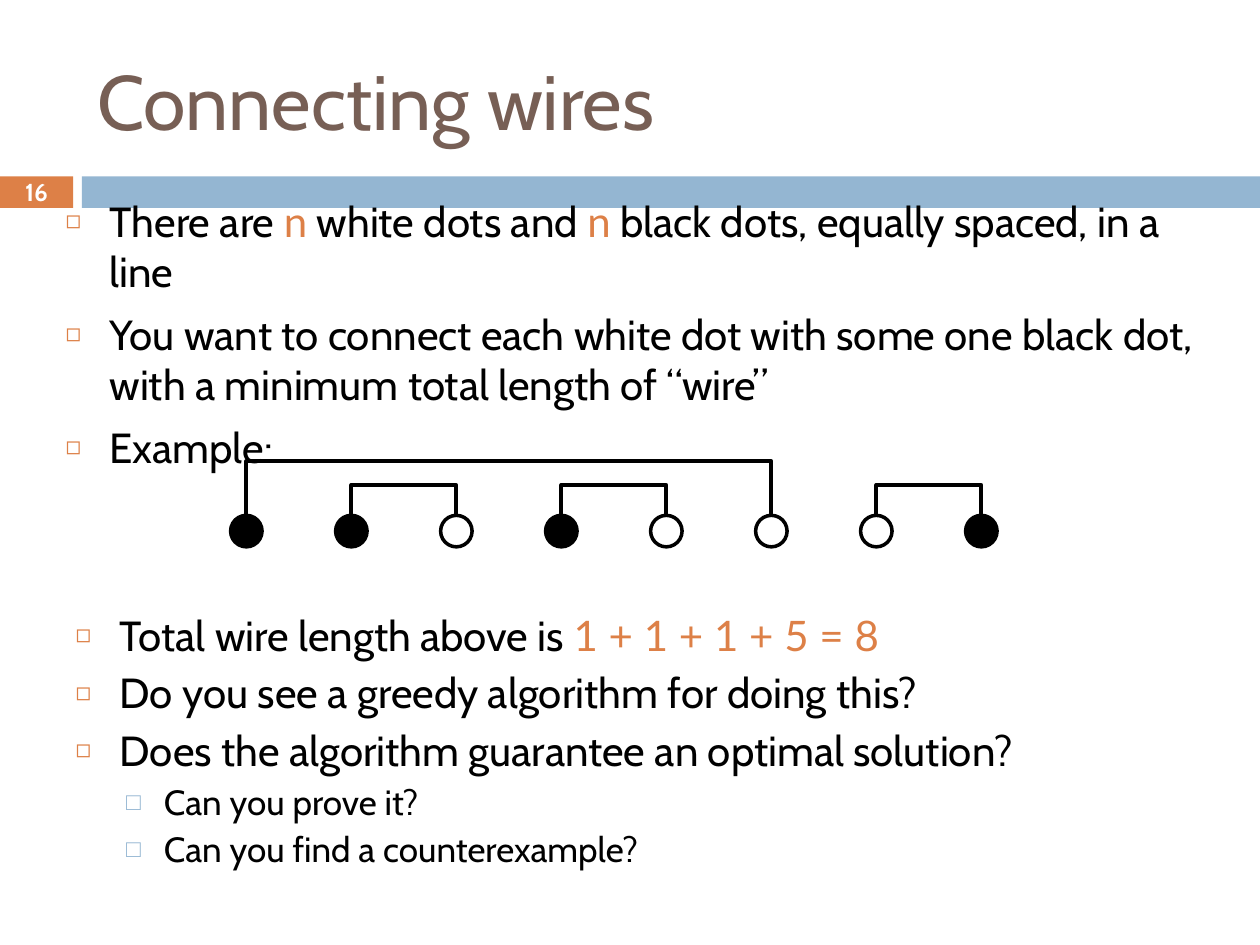
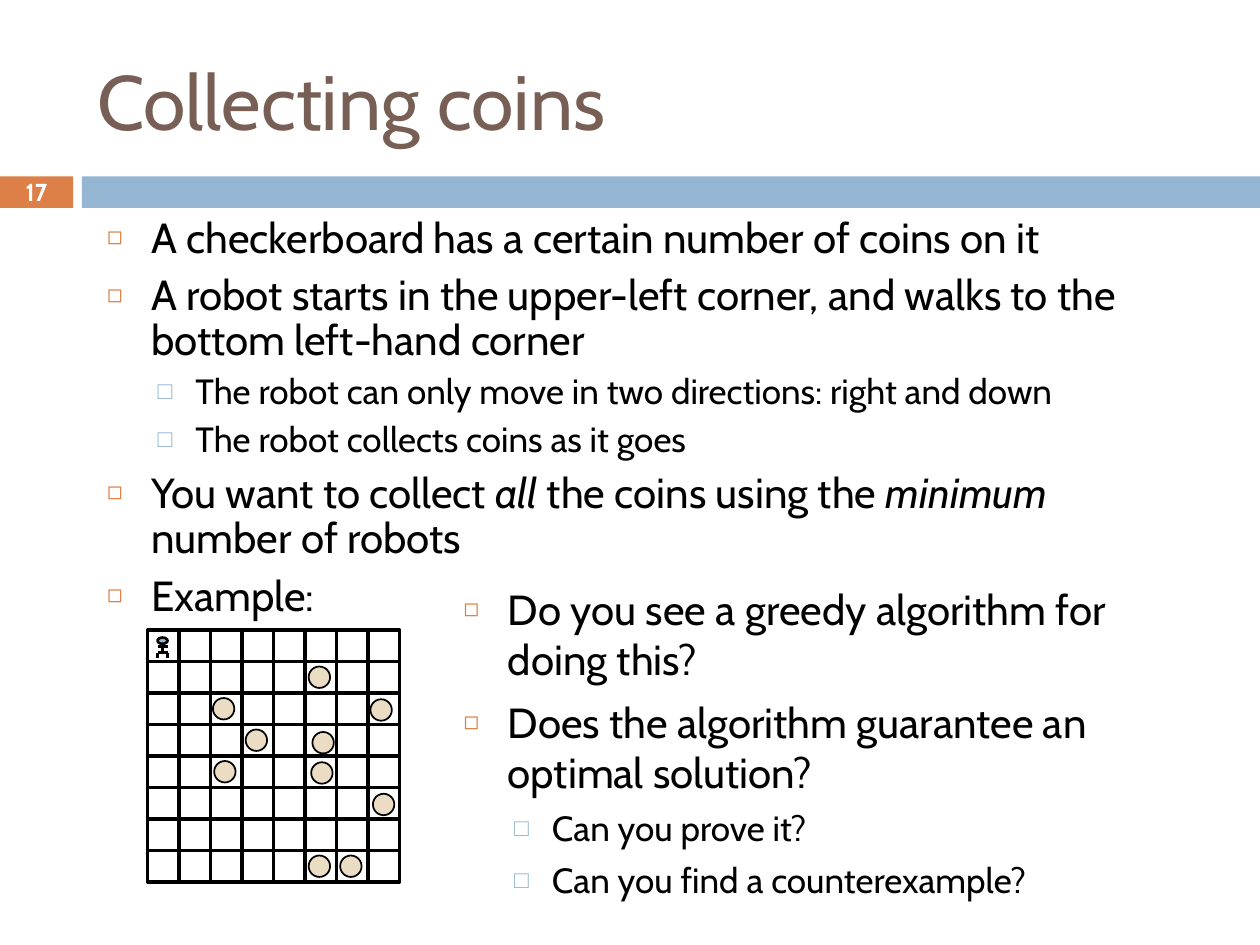
"""Build two slides on greedy algorithms: connecting wires and collecting coins."""
from itertools import product

from lxml import etree
from pptx import Presentation
from pptx.dml.color import RGBColor
from pptx.enum.shapes import MSO_CONNECTOR, MSO_SHAPE
from pptx.enum.text import MSO_ANCHOR, MSO_AUTO_SIZE, PP_ALIGN
from pptx.oxml.ns import qn
from pptx.util import Inches, Pt

RECTANGLE = MSO_SHAPE.RECTANGLE
OVAL = MSO_SHAPE.OVAL
STRAIGHT = MSO_CONNECTOR.STRAIGHT
MIDDLE = MSO_ANCHOR.MIDDLE
NO_AUTOFIT = MSO_AUTO_SIZE.NONE
LEFT = PP_ALIGN.LEFT
CENTER = PP_ALIGN.CENTER

BLACK = RGBColor(0x00, 0x00, 0x00)
WHITE = RGBColor(0xFF, 0xFF, 0xFF)
BROWN = RGBColor(0x77, 0x5F, 0x55)
ORANGE = RGBColor(0xDD, 0x80, 0x47)
BLUE = RGBColor(0x94, 0xB6, 0xD2)
SAND = RGBColor(0xEB, 0xDD, 0xC3)

TEXT_FONT = "Cabin"
MATH_FONT = "Lato"
TWO_CONTENT = 3
MATH, ITALIC = "math", "italic"

# level: size, space before, left indent, hanging indent, bullet, colour, percent
LEVELS = [
    (24, 7, 0.35, 0.35, "\u25fb", ORANGE, 60),
    (20, 5.5, 0.7, 0.3, "\u25a1", BLUE, 70),
]


class Deck:
    """Holds the presentation, its style and the current slide."""

    def __init__(self):
        self.prs = Presentation()
        self.prs.slide_width = Inches(10)
        self.prs.slide_height = Inches(7.5)
        self.slide = None

    def place(self, shape, left, top, width, height):
        shape.left, shape.top = Inches(left), Inches(top)
        shape.width, shape.height = Inches(width), Inches(height)

    def style(self, run, size, color, font=TEXT_FONT, bold=None, italic=None):
        run.font.size = Pt(size)
        run.font.name = font
        run.font.color.rgb = color
        run.font.bold = bold
        run.font.italic = italic

    def new_slide(self, title, number):
        layout = self.prs.slide_layouts[TWO_CONTENT]
        self.slide = self.prs.slides.add_slide(layout)
        for left, width, color in ((0, 0.58, ORANGE), (0.65, 9.35, BLUE)):
            band = self.shape(RECTANGLE, left, 1.4, width, 0.25, fill=color)
            self.slide.shapes.element.insert(2, band.element)
        self.page_number(number)
        heading = self.slide.shapes.title
        self.place(heading, 0.67, 0.25, 8.92, 1.08)
        frame = heading.text_frame
        frame.text = title
        frame.auto_size = NO_AUTOFIT
        frame.vertical_anchor = MIDDLE
        frame.paragraphs[0].alignment = LEFT
        self.style(frame.paragraphs[0].runs[0], 44, BROWN)

    def page_number(self, number):
        box = self.slide.shapes.add_textbox(
            Inches(0), Inches(1.39), Inches(0.58), Inches(0.27))
        frame = box.text_frame
        frame.word_wrap = True
        frame.margin_top = frame.margin_bottom = 0
        frame.vertical_anchor = MIDDLE
        frame.text = str(number)
        frame.paragraphs[0].alignment = CENTER
        self.style(frame.paragraphs[0].runs[0], 14, WHITE, bold=True)

    def bullets(self, index, box, items, spacing=1.0):
        body = self.slide.placeholders[index]
        self.place(body, *box)
        frame = body.text_frame
        frame.auto_size = NO_AUTOFIT
        for row, (level, *parts) in enumerate(items):
            paragraph = frame.add_paragraph() if row else frame.paragraphs[0]
            paragraph.line_spacing = spacing
            self.bullet(paragraph, level)
            for part in parts:
                text, kind = part if isinstance(part, tuple) else (part, None)
                run = paragraph.add_run()
                run.text = text
                math = kind == MATH
                self.style(run, LEVELS[level][0], ORANGE if math else BLACK,
                           MATH_FONT if math else TEXT_FONT,
                           italic=kind == ITALIC)

    def bullet(self, paragraph, level):
        _, before, indent, hanging, mark, color, percent = LEVELS[level]
        paragraph.level = level
        paragraph.space_before = Pt(before)
        paragraph.space_after = Pt(0)
        props = paragraph._p.get_or_add_pPr()
        props.set("marL", str(Inches(indent)))
        props.set("indent", str(-Inches(hanging)))
        tint = etree.SubElement(props, qn("a:buClr"))
        etree.SubElement(tint, qn("a:srgbClr"), val=str(color))
        etree.SubElement(props, qn("a:buSzPct"), val=str(percent * 1000))
        etree.SubElement(props, qn("a:buChar"), char=mark)

    def outline(self, shape, fill, line_width):
        shape.shadow.inherit = False
        if fill is None:
            shape.fill.background()
        else:
            shape.fill.solid()
            shape.fill.fore_color.rgb = fill
        if line_width:
            shape.line.color.rgb = BLACK
            shape.line.width = Pt(line_width)
        else:
            shape.line.fill.background()

    def shape(self, kind, left, top, width, height, fill=None, line_width=0):
        shape = self.slide.shapes.add_shape(
            kind, Inches(left), Inches(top), Inches(width), Inches(height))
        self.outline(shape, fill, line_width)
        return shape

    def line(self, x1, y1, x2, y2, width):
        line = self.slide.shapes.add_connector(
            STRAIGHT, Inches(x1), Inches(y1), Inches(x2), Inches(y2))
        line.line.color.rgb = BLACK
        line.line.width = Pt(width)
        etree.SubElement(line.element.spPr, qn("a:effectLst"))

    def wire(self, start, end, bottom, top):
        builder = self.slide.shapes.build_freeform(
            Inches(start), Inches(bottom))
        corners = [(start, top), (end, top), (end, bottom)]
        builder.add_line_segments(
            [(Inches(x), Inches(y)) for x, y in corners], close=False)
        self.outline(builder.convert_to_shape(), None, 2.25)


QUESTIONS = [
    (0, "Do you see a greedy algorithm for doing this?"),
    (0, "Does the algorithm guarantee an optimal solution?"),
    (1, "Can you prove it?"),
    (1, "Can you find a counterexample?"),
]


def connecting_wires(deck):
    deck.new_slide("Connecting wires", 16)
    deck.bullets(1, (0.42, 1.5, 9.38, 2.15), [
        (0, "There are ", ("n", MATH), " white dots and ", ("n", MATH),
         " black dots, equally spaced, in a line"),
        (0, "You want to connect each white dot with some one black dot, "
            "with a minimum total length of \u201cwire\u201d"),
        (0, "Example:"),
    ])
    deck.bullets(2, (0.5, 4.83, 8.75, 2.25), [
        (0, "Total wire length above is ", ("1 + 1 + 1 + 5 = 8", MATH)),
        *QUESTIONS,
    ], spacing=0.9)
    first_dot, gap, dot = 1.83, 5 / 6, 0.25
    for place, color in enumerate("BBWBWWWB"):
        deck.shape(OVAL, first_dot + place * gap, 4.09, dot, dot,
                   BLACK if color == "B" else WHITE, 2)
    for start, end, top in ((6, 7, 3.85), (1, 2, 3.85), (3, 4, 3.85),
                            (0, 5, 3.66)):
        center = first_dot + dot / 2
        deck.wire(center + start * gap, center + end * gap, 4.08, top)


def collecting_coins(deck):
    deck.new_slide("Collecting coins", 17)
    deck.bullets(1, (0.75, 1.67, 8.58, 3.42), [
        (0, "A checkerboard has a certain number of coins on it"),
        (0, "A robot starts in the upper-left corner, and walks to the "
            "bottom left-hand corner"),
        (1, "The robot can only move in two directions: right and down"),
        (1, "The robot collects coins as it goes"),
        (0, "You want to collect ", ("all", ITALIC),
         " the coins using the ", ("minimum", ITALIC), " number of robots"),
        (0, "Example:"),
    ], spacing=0.9)
    deck.bullets(2, (3.58, 4.58, 5.92, 2.58), QUESTIONS)
    square = 0.25
    for column, row in product(range(8), repeat=2):
        deck.shape(RECTANGLE, 1.17 + column * square, 5 + row * square,
                   square, square, line_width=2)
    coins = [(2.45, 5.29), (2.94, 5.55), (1.69, 5.54), (1.95, 5.79),
             (1.7, 6.04), (2.48, 5.81), (2.47, 6.05), (2.96, 6.3),
             (2.45, 6.79), (2.7, 6.79)]
    for left, top in coins:
        deck.shape(OVAL, left, top, 0.17, 0.17, SAND, 1)
    robot_limbs = [(1.25, 5.18, 1.25, 5.22), (1.33, 5.18, 1.25, 5.18),
                   (1.33, 5.18, 1.33, 5.22), (1.25, 5.13, 1.33, 5.13),
                   (1.29, 5.18, 1.29, 5.08)]
    for limb in robot_limbs:
        deck.line(*limb, width=1.5)
    deck.shape(OVAL, 1.25, 5.06, 0.08, 0.05, BLUE, 1.5)


deck = Deck()
connecting_wires(deck)
collecting_coins(deck)
deck.prs.save("out.pptx")
